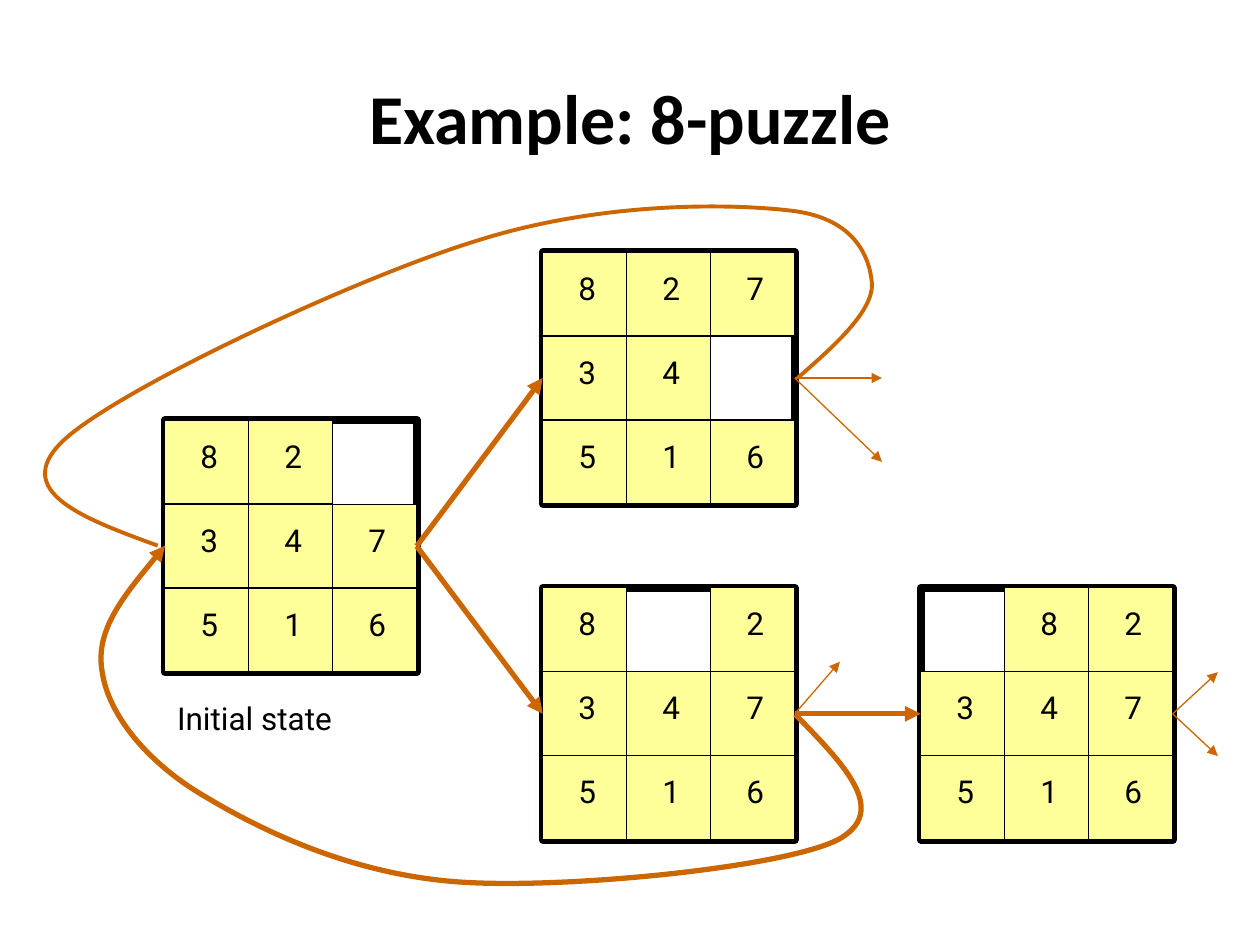
from lxml.etree import SubElement
from pptx import Presentation
from pptx.dml.color import RGBColor
from pptx.enum.shapes import MSO_CONNECTOR, MSO_SHAPE
from pptx.enum.text import MSO_ANCHOR, MSO_AUTO_SIZE, PP_ALIGN
from pptx.oxml.ns import qn
from pptx.util import Cm, Pt

BLACK = RGBColor(0x00, 0x00, 0x00)
YELLOW = RGBColor(0xFF, 0xFF, 0x99)
ORANGE = RGBColor(0xCC, 0x66, 0x00)

SIDE = 5.08
CELL = SIDE / 3
RIGHT, LEFT = 3, 1

# Each curve: start point, then two handles and an end point per piece
BACK_LOW = [
    (16.03, 14.4),
    (16.99, 15.39), (17.98, 16.36), (16.87, 16.94),
    (15.72, 17.5), (11.35, 17.93), (9.25, 17.78),
    (7.14, 17.63), (5.36, 16.79), (4.17, 16.08),
    (2.97, 15.39), (2.18, 14.4), (2.06, 13.54),
    (1.91, 12.7), (2.62, 11.86), (3.33, 11),
]
BACK_TOP = [
    (16.08, 7.62),
    (16.84, 6.96), (17.6, 6.27), (17.58, 5.72),
    (17.53, 5.16), (17.22, 4.37), (15.88, 4.24),
    (14.53, 4.09), (11.96, 4.09), (9.53, 4.88),
    (7.09, 5.64), (2.34, 7.87), (1.27, 8.89),
    (0.2, 9.91), (1.7, 10.46), (3.18, 11),
]


def add_text(slide, text, x, y, w, h, size=18, font="Roboto", bold=False,
             align=PP_ALIGN.LEFT, anchor=MSO_ANCHOR.TOP, wrap=True, grow=True):
    box = slide.shapes.add_textbox(Cm(x), Cm(y), Cm(w), Cm(h))
    frame = box.text_frame
    frame.word_wrap = wrap
    frame.auto_size = MSO_AUTO_SIZE.SHAPE_TO_FIT_TEXT if grow else MSO_AUTO_SIZE.NONE
    frame.vertical_anchor = anchor
    para = frame.paragraphs[0]
    para.alignment = align
    run = para.add_run()
    run.text = text
    run.font.size = Pt(size)
    run.font.name = font
    run.font.bold = bold
    run.font.color.rgb = BLACK


def add_square(slide, x, y, side, width, fill=None):
    box = slide.shapes.add_shape(MSO_SHAPE.RECTANGLE, Cm(x), Cm(y), Cm(side), Cm(side))
    box.shadow.inherit = False
    if fill is None:
        box.fill.background()
    else:
        box.fill.solid()
        box.fill.fore_color.rgb = fill
    box.line.color.rgb = BLACK
    box.line.width = Pt(width)
    return box


def add_board(slide, x, y, tiles):
    """Draw a 3 x 3 board, tiles row by row, a space for the gap."""
    frame = add_square(slide, x, y, SIDE, 4.5)
    spots = [(x + i % 3 * CELL, y + i // 3 * CELL, tile)
             for i, tile in enumerate(tiles) if tile != " "]
    for left, top, tile in spots:
        add_square(slide, left, top, CELL, 0.75, YELLOW)
    for left, top, tile in spots:
        add_text(slide, tile, left + 0.47, top + 0.21, 0.86, 1.02, wrap=False)
    return frame


def style_line(line, width, head=True):
    line.color.rgb = ORANGE
    line.width = Pt(width)
    if head:
        SubElement(line._get_or_add_ln(), qn("a:tailEnd"), type="triangle")


def add_arrow(slide, start, width, end=None, point=(0, 0)):
    """Lead from a board's right side to another board or to a free point."""
    x, y = point
    arrow = slide.shapes.add_connector(MSO_CONNECTOR.STRAIGHT, 0, 0, Cm(x), Cm(y))
    arrow.begin_connect(start, RIGHT)
    if end is not None:
        arrow.end_connect(end, LEFT)
    style_line(arrow.line, width)
    SubElement(arrow._element.spPr, qn("a:effectLst"))


def add_curve(slide, points, width, head):
    spots = [(Cm(x), Cm(y)) for x, y in points]
    pen = slide.shapes.build_freeform(*spots[0])
    pen.add_line_segments(spots[1:], close=False)
    curve = pen.convert_to_shape()
    curve.shadow.inherit = False
    curve.fill.background()
    style_line(curve.line, width, head)
    # Merge every three straight steps into one Bezier piece
    track = next(curve._element.iter(qn("a:path")))
    steps = track.findall(qn("a:lnTo"))
    for i in range(0, len(steps), 3):
        piece = SubElement(track, qn("a:cubicBezTo"))
        for step in steps[i:i + 3]:
            piece.append(step[0])
            track.remove(step)


def main():
    deck = Presentation()
    deck.slide_width, deck.slide_height = Cm(25.4), Cm(19.05)
    slide = deck.slides.add_slide(deck.slide_layouts[6])

    # Title
    add_text(slide, "Example: 8-puzzle", 1.27, 0.76, 22.86, 3.18, size=40,
             font="Calibri", bold=True, align=PP_ALIGN.CENTER,
             anchor=MSO_ANCHOR.MIDDLE, grow=False)

    # Boards
    first = add_board(slide, 3.32, 8.47, "82 347516")
    down = add_board(slide, 10.94, 11.85, "8 2347516")
    up = add_board(slide, 10.94, 5.08, "82734 516")
    last = add_board(slide, 18.56, 11.85, " 82347516")

    # Moves between boards
    for start, end in ((first, up), (first, down), (down, last)):
        add_arrow(slide, start, 3, end=end)
    add_curve(slide, BACK_LOW, 3, True)

    # Moves not followed
    for start, point in ((up, (17.78, 7.62)), (up, (17.78, 9.31)),
                         (last, (24.55, 13.55)), (last, (24.55, 15.24)),
                         (down, (16.93, 13.34))):
        add_arrow(slide, start, 0.75, point=point)
    add_curve(slide, BACK_TOP, 2.25, False)

    # Label
    add_text(slide, "Initial state", 3.32, 13.97, 5.08, 1.02)

    deck.save("out.pptx")


if __name__ == "__main__":
    main()
